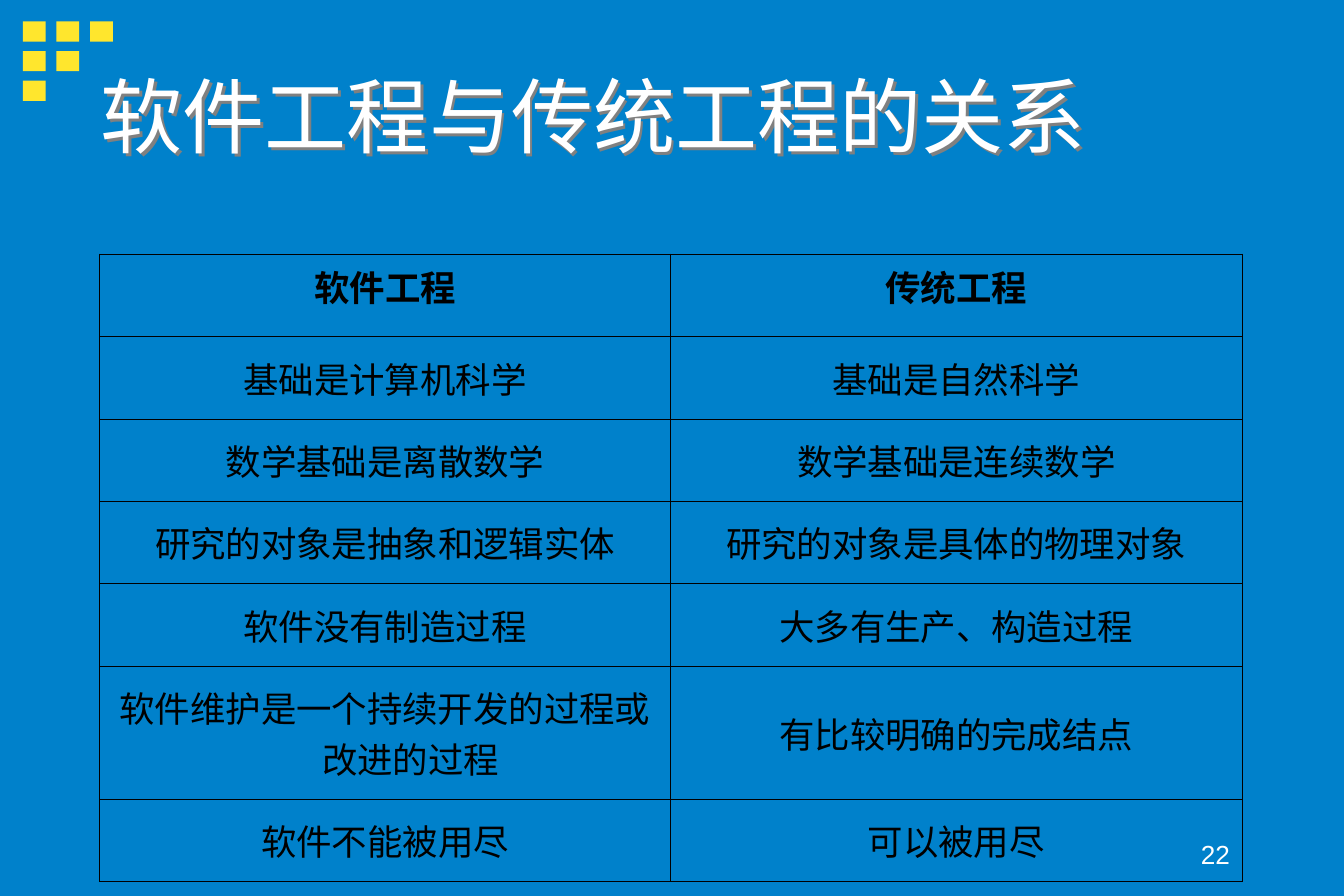
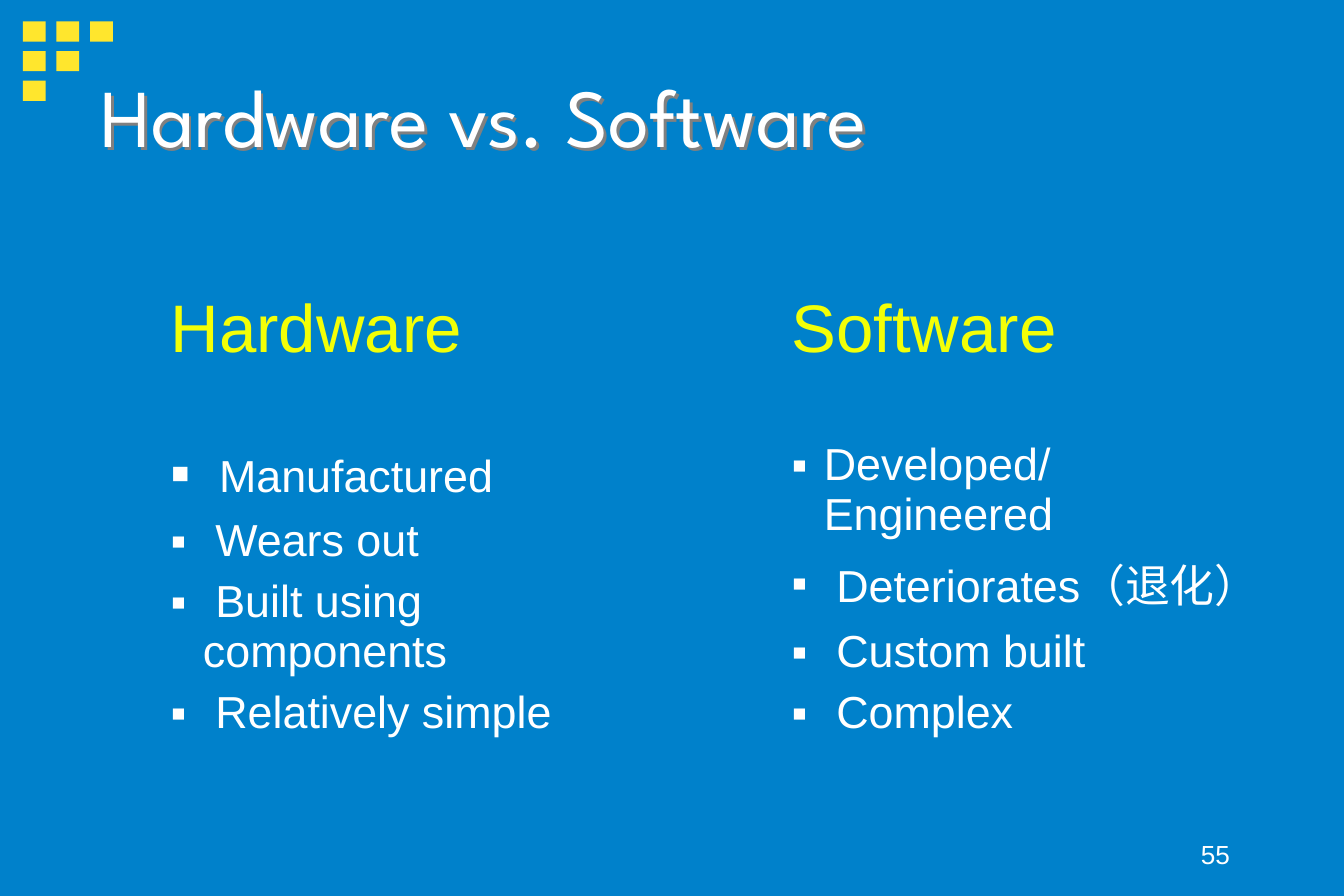
from lxml import etree
from pptx import Presentation
from pptx.dml.color import RGBColor
from pptx.enum.shapes import MSO_SHAPE as Shape
from pptx.enum.text import MSO_ANCHOR as Anchor, PP_ALIGN as Align
from pptx.oxml.ns import qn
from pptx.util import Inches, Pt

BLUE = RGBColor(0x00, 0x81, 0xCB)
GOLD = RGBColor(0xFF, 0xE6, 0x2D)
YELLOW = RGBColor(0xF3, 0xFF, 0x07)
WHITE = RGBColor(0xFF, 0xFF, 0xFF)
BLACK = RGBColor(0, 0, 0)
GREY = RGBColor(0x80, 0x80, 0x80)
NO_STYLE = "{2D5ABB26-0587-4C30-8999-92F81FD0307C}"

PAGES = [("软件工程与传统工程的关系", "22"), ("Hardware vs. Software", "55")]
ROWS = [
    ("软件工程", "传统工程"),
    ("基础是计算机科学", "基础是自然科学"),
    ("数学基础是离散数学", "数学基础是连续数学"),
    ("研究的对象是抽象和逻辑实体", "研究的对象是具体的物理对象"),
    ("软件没有制造过程", "大多有生产、构造过程"),
    ("软件维护是一个持续开发的过程或改进的过程", "有比较明确的完成结点"),
    ("软件不能被用尽", "可以被用尽"),
]
LISTS = {
    "Hardware": [" Manufactured", " Wears out", " Built using components",
                 " Relatively simple"],
    "Software": ["Developed/Engineered", " Deteriorates（退化）",
                 " Custom built", " Complex"],
}


def style(para, font, size, color, bold=False):
    para.font.name = font
    para.font.size = Pt(size)
    para.font.bold = bold
    para.font.color.rgb = color


def add_grid(slide, left, top, widths, heights):
    """Add a table without style or fills."""
    width, height = sum(widths), sum(heights)
    frame = slide.shapes.add_table(len(heights), len(widths), Inches(left), Inches(top),
                                   Inches(width), Inches(height))
    grid = frame.table
    grid.first_row = grid.horz_banding = False
    grid._tbl.tblPr.find(qn("a:tableStyleId")).text = NO_STYLE
    for col, size in zip(grid.columns, widths):
        col.width = Inches(size)
    for row, size in zip(grid.rows, heights):
        row.height = Inches(size)
    for cell in grid.iter_cells():
        cell.fill.background()
    return grid


prs = Presentation()
prs.slide_width, prs.slide_height = Inches(10), Pt(479.87)
back = prs.slide_master.background.fill
back.solid()
back.fore_color.rgb = BLUE

# Shared parts: corner squares, title, page number
slides = []
for title, number in PAGES:
    slide = prs.slides.add_slide(prs.slide_layouts[6])
    slides.append(slide)
    for row in range(3):
        for col in range(3 - row):
            square = slide.shapes.add_shape(
                Shape.RECTANGLE, Inches(0.17 + 0.25 * col), Inches(0.16 + 0.22 * row),
                Inches(0.17), Inches(0.15))
            square.shadow.inherit = False
            square.fill.solid()
            square.fill.fore_color.rgb = GOLD
            square.line.fill.background()

    box = slide.shapes.add_textbox(Inches(0.65), Inches(0.3), Inches(8.5), Inches(1.11))
    box.text_frame.word_wrap = True
    box.text_frame.vertical_anchor = Anchor.MIDDLE
    para = box.text_frame.paragraphs[0]
    para.text = title
    style(para, "League Spartan", 44, WHITE)
    effect = etree.SubElement(box._element.spPr, qn("a:effectLst"))
    shade = etree.SubElement(effect, qn("a:outerShdw"), dist=str(Pt(2)), dir="2700000")
    etree.SubElement(shade, qn("a:srgbClr"), val=str(GREY))

    box = slide.shapes.add_textbox(Inches(7.17), Inches(6.08), Inches(2.08), Inches(0.44))
    box.text_frame.word_wrap = True
    box.text_frame.vertical_anchor = Anchor.BOTTOM
    para = box.text_frame.paragraphs[0]
    para.text = number
    para.alignment = Align.RIGHT
    style(para, "Arial", 14, WHITE)

first, second = slides

# Slide 1: ruled comparison table, one row taller than the others
tall = 0.99
even = (4.67 - tall) / 6
grid = add_grid(first, 0.74, 1.89, [4.25] * 2, [even] * 5 + [tall, even])
for i, texts in enumerate(ROWS):
    for j, text in enumerate(texts):
        cell = grid.cell(i, j)
        cell.vertical_anchor = Anchor.MIDDLE if i else Anchor.TOP
        para = cell.text_frame.paragraphs[0]
        para.text = text
        para.alignment = Align.CENTER
        props = para._p.get_or_add_pPr()
        props.set("marL", str(Inches(0.38)))
        props.set("indent", str(-Inches(0.38)))
        style(para, "Times New Roman", 19, BLACK, bold=i == 0)
        for at, side in enumerate(("a:lnL", "a:lnR", "a:lnT", "a:lnB")):
            edge = etree.Element(qn(side), w=str(Pt(0.45)))
            fill = etree.SubElement(edge, qn("a:solidFill"))
            etree.SubElement(fill, qn("a:srgbClr"), val=str(BLACK))
            cell._tc.get_or_add_tcPr().insert(at, edge)

# Slide 2: two bulleted lists under headings
grid = add_grid(second, 0.77, 2.12, [4.62, 4.61], [1.1, 2.87])
for cell in grid.iter_cells():
    cell.margin_left = cell.margin_right = Inches(0.5)
for j, (head, items) in enumerate(LISTS.items()):
    para = grid.cell(0, j).text_frame.paragraphs[0]
    para.text = head
    style(para, "Arial", 36, YELLOW)
    frame = grid.cell(1, j).text_frame
    for k, item in enumerate(items):
        para = frame.add_paragraph() if k else frame.paragraphs[0]
        if k:
            para.space_before = Pt(6)
        props = para._p.get_or_add_pPr()
        props.set("marL", str(Inches(0.24)))
        props.set("indent", str(-Inches(0.24)))
        tint = etree.SubElement(props, qn("a:buClr"))
        etree.SubElement(tint, qn("a:srgbClr"), val=str(WHITE))
        etree.SubElement(props, qn("a:buFont"), typeface="Arial")
        etree.SubElement(props, qn("a:buChar"), char="▪")
        style(para, "Arial", 24, WHITE)
        if item == " Manufactured":
            lead = para.add_run()
            lead.text = " "
            lead.font.size = Pt(31)
            item = item.strip()
        para.add_run().text = item

prs.save("out.pptx")
